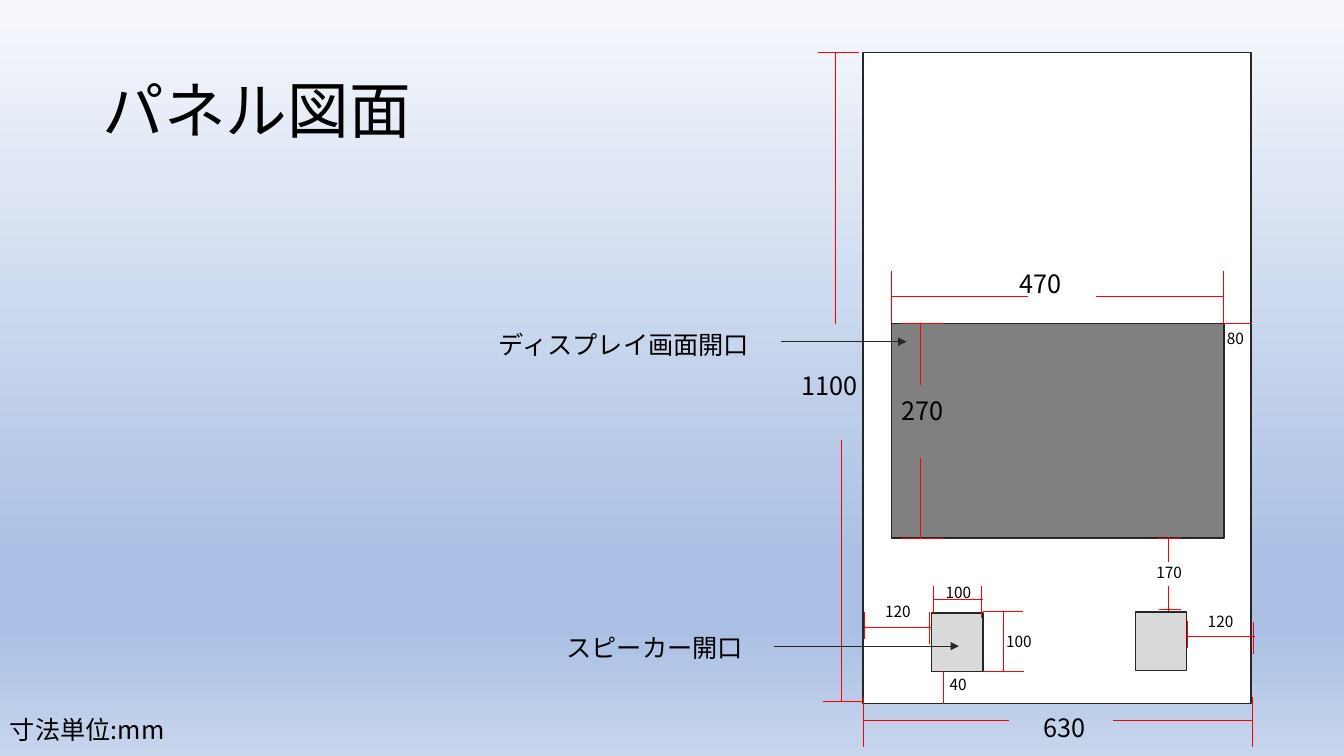
from lxml import etree
from pptx import Presentation
from pptx.dml.color import RGBColor
from pptx.enum import shapes, text
from pptx.oxml.ns import qn
from pptx.util import Inches, Pt

FONT = "Noto Sans CJK JP"
COLORS = {"ink": "000000", "edge": "262626", "dimension": "FF0000",
          "panel": "FFFFFF", "display": "808080", "speaker": "D9D9D9"}
SKY = [(0, "F6F8FC"), (74, "ABC0E4"), (83, "ABC0E4"), (100, "C7D5ED")]

# Panel and its openings: fill, (left, top, width, height)
PARTS = [
    ("panel", (8.56, 0.52, 3.85, 6.46)),
    ("display", (8.84, 3.21, 3.3, 2.13)),
    ("speaker", (9.24, 6.08, 0.51, 0.58)),
    ("speaker", (11.26, 6.07, 0.51, 0.58)),
]

# Dimensions: value, font size, label box,
# horizontal lines (y, from x, to x), vertical lines (x, from y, to y)
DIMENSIONS = [
    ("270", 18, (8.84, 3.87, 0.99, 0.64),
     [(3.21, 8.95, 9.36), (5.34, 8.95, 9.36)],
     [(9.13, 3.21, 3.82), (9.13, 4.54, 5.34)]),
    ("40", 11, (9.32, 6.65, 0.37, 0.29), [], [(9.36, 6.66, 6.98)]),
    ("630", 18, (10.25, 7.02, 0.62, 0.4),
     [(7.15, 10.01, 8.56), (7.15, 12.42, 11.04)],
     [(8.56, 6.91, 7.41), (12.42, 6.91, 7.41)]),
    ("470", 18, (10.01, 2.61, 0.99, 0.64),
     [(2.94, 10.2, 8.84), (2.94, 12.13, 10.87)],
     [(12.13, 2.69, 3.2), (8.84, 2.69, 3.2)]),
    ("100", 11, (9.88, 6.22, 0.46, 0.29),
     [(6.07, 9.75, 10.15), (6.66, 9.75, 10.16)],
     [(9.95, 6.07, 6.66)]),
    ("80", 11, (12.07, 3.22, 0.37, 0.29), [(3.21, 12.42, 12.13)], []),
    ("100", 11, (9.28, 5.74, 0.46, 0.29),
     [(5.95, 9.75, 9.26)],
     [(9.73, 5.81, 6.13), (9.26, 5.81, 6.08)]),
    ("1100", 18, (7.85, 3.62, 0.76, 0.4),
     [(0.52, 8.11, 8.52), (6.96, 8.16, 8.57)],
     [(8.29, 0.52, 3.21), (8.34, 4.37, 6.96)]),
    ("120", 11, (8.68, 5.92, 0.46, 0.29),
     [(6.22, 9.24, 8.57)],
     [(9.22, 6.07, 6.39), (8.57, 6.07, 6.34)]),
    ("120", 11, (11.88, 6.02, 0.46, 0.29),
     [(6.31, 12.45, 11.78)],
     [(12.43, 6.17, 6.49), (11.78, 6.16, 6.43)]),
    ("170", 11, (11.37, 5.54, 0.46, 0.29),
     [(5.34, 11.49, 11.71), (6.05, 11.5, 11.71)],
     [(11.59, 5.34, 5.58), (11.59, 5.81, 6.06)]),
]

# Callouts: text, text box, arrow (y, from x, to x)
CALLOUTS = [
    ("ディスプレイ画面開口", (4.85, 3.22, 2.72, 0.4), (3.39, 7.75, 8.99)),
    ("スピーカー開口", (5.52, 6.22, 2.02, 0.4), (6.41, 7.68, 9.51)),
]

prs = Presentation()
prs.slide_width, prs.slide_height = Inches(13.33), Inches(7.5)
slide = prs.slides.add_slide(prs.slide_layouts[6])


def rgb(name):
    return RGBColor.from_string(COLORS[name])


def add_text(content, box, size=18, wrap=True, grow=True,
             anchor=text.MSO_ANCHOR.TOP, spacing=None):
    frame = slide.shapes.add_textbox(*map(Inches, box)).text_frame
    frame.word_wrap = wrap
    frame.auto_size = (text.MSO_AUTO_SIZE.SHAPE_TO_FIT_TEXT if grow
                       else text.MSO_AUTO_SIZE.NONE)
    frame.vertical_anchor = anchor
    paragraph = frame.paragraphs[0]
    paragraph.line_spacing = spacing
    run = paragraph.add_run()
    run.text = content
    run.font.size = Pt(size)
    run.font.name = FONT
    run.font.color.rgb = rgb("ink")
    east_asian = etree.SubElement(run.font._element, qn("a:ea"))
    east_asian.set("typeface", FONT)


def add_line(x1, y1, x2, y2, color="dimension", arrow=False):
    line = slide.shapes.add_connector(
        shapes.MSO_CONNECTOR.STRAIGHT, *map(Inches, (x1, y1, x2, y2)))
    line.line.color.rgb = rgb(color)
    line.line.width = Pt(0.5)
    if arrow:
        tail = etree.SubElement(line.line._get_or_add_ln(), qn("a:tailEnd"))
        tail.set("type", "triangle")
    etree.SubElement(line._element.spPr, qn("a:effectLst"))


# Background gradient, top to bottom
sky = slide.background.fill
sky.gradient()
sky.gradient_angle = 270
stops = next(slide.element.iter(qn("a:gsLst")))
for stop in list(stops):
    stops.remove(stop)
for percent, color in SKY:
    stop = etree.SubElement(stops, qn("a:gs"), pos=str(percent * 1000))
    etree.SubElement(stop, qn("a:srgbClr"), val=color)

# Title
add_text("パネル図面", (0.92, 0.4, 11.5, 1.45), size=44, grow=False,
         anchor=text.MSO_ANCHOR.MIDDLE, spacing=0.9)

# Panel, display and speakers
for fill, box in PARTS:
    part = slide.shapes.add_shape(shapes.MSO_SHAPE.RECTANGLE, *map(Inches, box))
    part.shadow.inherit = False
    part.fill.solid()
    part.fill.fore_color.rgb = rgb(fill)
    part.line.color.rgb = rgb("edge")
    part.line.width = Pt(1)

# Dimension lines with their values
for value, size, box, horizontals, verticals in DIMENSIONS:
    for y, start, end in horizontals:
        add_line(start, y, end, y)
    for x, start, end in verticals:
        add_line(x, start, x, end)
    add_text(value, box, size=size, wrap=False)

# Callouts and unit note
for label, box, (y, start, end) in CALLOUTS:
    add_line(start, y, end, y, color="edge", arrow=True)
    add_text(label, box)
add_text("寸法単位:mm", (0, 7.04, 2.72, 0.4))

prs.save("out.pptx")
